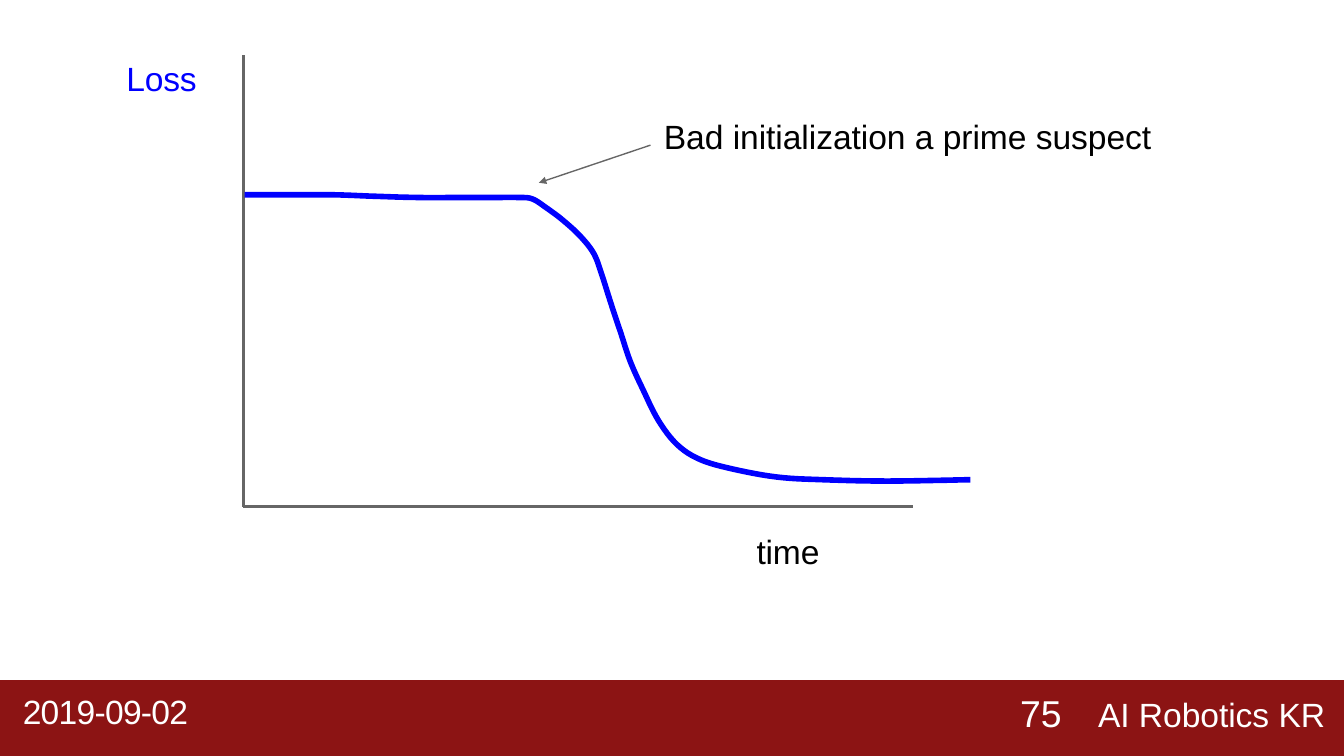
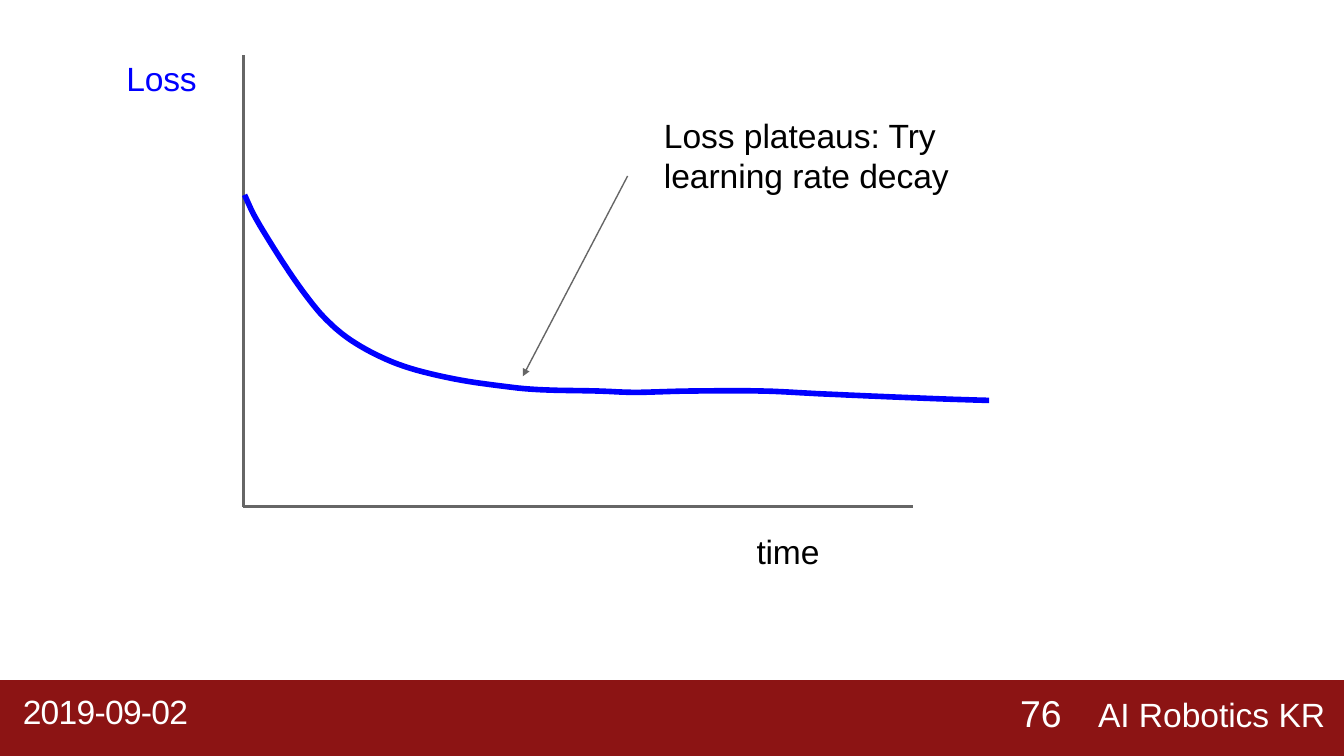
from dataclasses import dataclass
from typing import NamedTuple

from lxml import etree
from pptx import Presentation
from pptx.dml.color import RGBColor
from pptx.enum.shapes import MSO_CONNECTOR, MSO_SHAPE
from pptx.enum.text import MSO_AUTO_SIZE
from pptx.oxml.ns import qn
from pptx.slide import Slide, SlideLayout
from pptx.util import Emu, Pt

STRAIGHT = MSO_CONNECTOR.STRAIGHT
RECTANGLE = MSO_SHAPE.RECTANGLE
FIT_SHAPE = MSO_AUTO_SIZE.SHAPE_TO_FIT_TEXT

PX_PER_INCH = 100
SLIDE_WIDTH = 1000
SLIDE_HEIGHT = SLIDE_WIDTH * 9 / 16
BAND_TOP = 506
BLANK_LAYOUT = 6
STEPS_PER_SPAN = 6


class Point(NamedTuple):
    x: int
    y: int


class Box(NamedTuple):
    left: int
    top: int
    width: int
    height: int


@dataclass(frozen=True)
class Theme:
    font: str = "Arial"
    body: int = 18
    page: int = 20
    axis_weight: float = 1.5
    curve_weight: float = 3
    arrow_weight: float = 0.75
    band: RGBColor = RGBColor(0x8C, 0x14, 0x14)
    axis: RGBColor = RGBColor(0x66, 0x66, 0x66)
    loss: RGBColor = RGBColor(0x00, 0x00, 0xFF)
    ink: RGBColor = RGBColor(0x00, 0x00, 0x00)
    footer: RGBColor = RGBColor(0xFF, 0xFF, 0xFF)


THEME = Theme()


@dataclass(frozen=True)
class Label:
    text: str
    box: Box
    color: RGBColor = THEME.ink
    size: int = THEME.body
    indent: int = 2
    inset_top: int = 1
    tracking: int = -10
    leading: float | None = None


@dataclass(frozen=True)
class LossSlide:
    page: int
    note: Label
    arrow_from: Point
    arrow_to: Point
    curve: tuple[tuple[int, int], ...]


ORIGIN = Point(181, 377)
AXIS_ENDS = (Point(181, 41), Point(679, 377))
AXIS_LABELS = (
    Label("Loss", Box(92, 41, 56, 33), THEME.loss, inset_top=2),
    Label("time", Box(561, 394, 50, 33)),
)
FOOTER_LABELS = (
    Label("2019-09-02", Box(16, 515, 491, 31), THEME.footer,
          indent=1, inset_top=0, tracking=-40, leading=20.9),
    Label("AI Robotics KR", Box(815, 514, 174, 30), THEME.footer,
          inset_top=0, tracking=-4, leading=23.1),
)

LOSS_SLIDES = (
    LossSlide(
        75,
        Label("Bad initialization a prime suspect", Box(492, 84, 366, 33),
              inset_top=2, tracking=-2),
        Point(484, 108),
        Point(401, 136),
        ((182, 145), (211, 145), (248, 145), (276, 146), (310, 147),
         (347, 147), (370, 147), (385, 147), (396, 148), (407, 155),
         (419, 164), (432, 176), (442, 189), (448, 205), (455, 227),
         (462, 248), (469, 269), (478, 289), (490, 313), (504, 331),
         (521, 342), (545, 349), (578, 355), (612, 357), (661, 358),
         (722, 357)),
    ),
    LossSlide(
        76,
        Label("Loss plateaus: Try learning rate decay",
              Box(492, 84, 215, 63), tracking=-2, leading=1.01),
        Point(467, 131),
        Point(389, 280),
        ((182, 145), (189, 160), (199, 177), (213, 199), (227, 219),
         (241, 236), (258, 251), (280, 264), (305, 274), (338, 282),
         (371, 287), (401, 290), (445, 291), (473, 292), (514, 291),
         (567, 291), (609, 293), (654, 295), (704, 297), (736, 298)),
    ),
)


def px(length: float) -> Emu:
    return Emu(round(length * 914400 / PX_PER_INCH))


def add_band(slide: Slide, layout: SlideLayout) -> None:
    band = slide.shapes.add_shape(
        RECTANGLE, 0, px(BAND_TOP), px(SLIDE_WIDTH), px(SLIDE_HEIGHT - BAND_TOP))
    band.shadow.inherit = False
    band.fill.solid()
    band.fill.fore_color.rgb = THEME.band
    band.line.fill.background()
    layout.shapes.element.append(band.element)


def add_label(slide: Slide, label: Label) -> None:
    frame = slide.shapes.add_textbox(*map(px, label.box)).text_frame
    frame.word_wrap = True
    frame.auto_size = FIT_SHAPE
    frame.margin_left, frame.margin_top = px(label.indent), px(label.inset_top)
    frame.margin_right = frame.margin_bottom = 0
    frame.text = label.text
    paragraph = frame.paragraphs[0]
    if label.leading:
        is_points = label.leading > 2
        paragraph.line_spacing = Pt(label.leading) if is_points else label.leading
    for run in paragraph.runs:
        run.font.name = THEME.font
        run.font.size = Pt(label.size)
        run.font.color.rgb = label.color
        run._r.get_or_add_rPr().set("spc", str(label.tracking))


def add_line(slide: Slide, start: Point, end: Point, weight: float,
             arrowhead: bool = False) -> None:
    connector = slide.shapes.add_connector(STRAIGHT, *map(px, (*start, *end)))
    connector.line.color.rgb = THEME.axis
    connector.line.width = Pt(weight)
    properties = connector.element.find(qn("p:spPr"))
    if arrowhead:
        etree.SubElement(properties.find(qn("a:ln")), qn("a:tailEnd"),
                         type="triangle", w="sm", len="sm")
    etree.SubElement(properties, qn("a:effectLst"))


def spline(before: float, start: float, end: float, after: float, t: float) -> float:
    return 0.5 * (2 * start + (end - before) * t
                  + (2 * before - 5 * start + 4 * end - after) * t ** 2
                  + (3 * start - before - 3 * end + after) * t ** 3)


def smooth(knots: tuple[tuple[int, int], ...]) -> list[tuple[float, float]]:
    padded = (knots[0], *knots, knots[-1])
    points = [
        tuple(spline(*values, step / STEPS_PER_SPAN) for values in zip(*span))
        for span in zip(padded, padded[1:], padded[2:], padded[3:])
        for step in range(STEPS_PER_SPAN)
    ]
    return [*points, knots[-1]]


def add_curve(slide: Slide, knots: tuple[tuple[int, int], ...]) -> None:
    start, *rest = [(px(x), px(y)) for x, y in smooth(knots)]
    builder = slide.shapes.build_freeform(*start)
    builder.add_line_segments(rest, close=False)
    curve = builder.convert_to_shape()
    curve.shadow.inherit = False
    curve.fill.background()
    curve.line.color.rgb = THEME.loss
    curve.line.width = Pt(THEME.curve_weight)


def fill_slide(slide: Slide, content: LossSlide) -> None:
    for axis_end in AXIS_ENDS:
        add_line(slide, ORIGIN, axis_end, THEME.axis_weight)
    add_curve(slide, content.curve)
    page = Label(str(content.page), Box(748, 515, 44, 34), THEME.footer,
                 THEME.page, indent=11, inset_top=0, tracking=0, leading=23.1)
    for label in (*AXIS_LABELS, content.note, *FOOTER_LABELS, page):
        add_label(slide, label)
    add_line(slide, content.arrow_from, content.arrow_to,
             THEME.arrow_weight, arrowhead=True)


def main() -> None:
    presentation = Presentation()
    presentation.slide_width = px(SLIDE_WIDTH)
    presentation.slide_height = px(SLIDE_HEIGHT)
    layout = presentation.slide_layouts[BLANK_LAYOUT]
    slides = [presentation.slides.add_slide(layout) for _ in LOSS_SLIDES]
    add_band(slides[0], layout)
    for slide, content in zip(slides, LOSS_SLIDES):
        fill_slide(slide, content)
    presentation.save("out.pptx")


if __name__ == "__main__":
    main()
